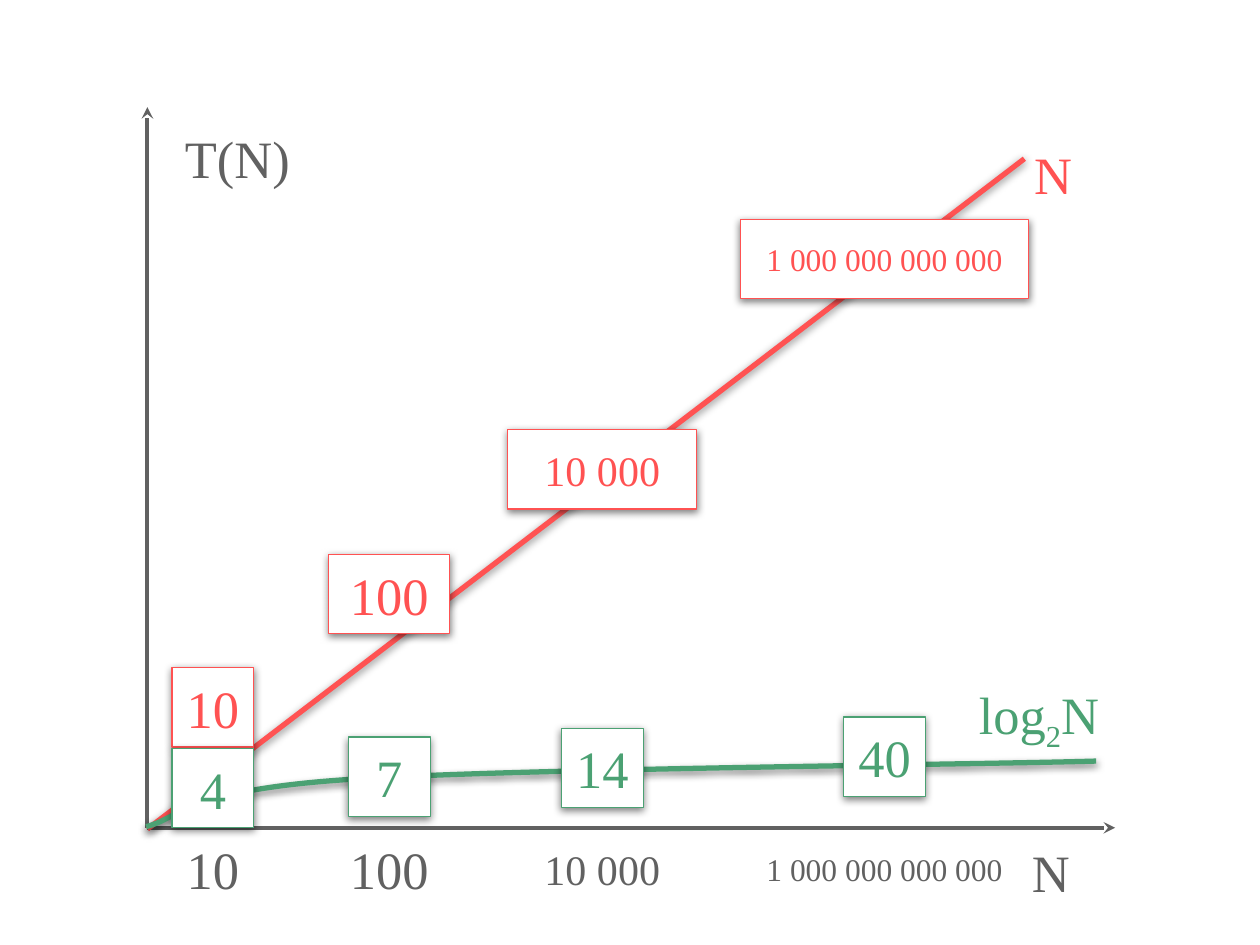
import pptx
import pptx.dml.color
import pptx.enum.shapes
import pptx.enum.text
import pptx.oxml.ns
import pptx.util
from lxml import etree

Inches = pptx.util.Inches
Pt = pptx.util.Pt
qn = pptx.oxml.ns.qn
PP_ALIGN = pptx.enum.text.PP_ALIGN
ANCHOR = pptx.enum.text.MSO_ANCHOR

GREY, RED, GREEN, WHITE = "616161", "FF5252", "4BA173", "FFFFFF"
FONT = "Times New Roman"
BOX_HEIGHT, NARROW = 0.63, 0.65
AXIS_LABEL_TOP = 6.58

axes = [((1.17, 6.57), (1.17, 0.85)), ((1.17, 6.57), (8.85, 6.57))]
linear_line = ((1.17, 6.58), (8.13, 1.26))
log_curve = [(1.16, 6.56),
             (1.42, 6.5), (1.45, 6.28), (2.71, 6.19),
             (3.96, 6.1), (7.7, 6.07), (8.7, 6.04)]
captions = [
    (["N"], 8.09, 6.57, 0.65, GREY),
    (["T(N)"], 1.37, 0.9, 1.5, GREY),
    (["log", "2", "N"], 7.67, 5.31, 1.22, GREEN),
    (["N"], 8.11, 1.03, 0.61, RED),
]
# size, steps, centre, width, font size, top of linear box, top of log box
samples = [
    ("10", "4", 1.69, 0.65, 30, 5.3, 5.94),
    ("100", "7", 3.09, 0.96, 30, 4.4, 5.85),
    ("1 000 000 000 000", "40", 7.02, 2.29, 18, 1.74, 5.69),
    ("10 000", "14", 4.78, 1.5, 24, 3.41, 5.78),
]


def rgb(colour):
    return pptx.dml.color.RGBColor.from_string(colour)


def set_line(shape, colour, width):
    shape.line.color.rgb = rgb(colour)
    shape.line.width = Pt(width)


def set_shadow(shape, visible=True):
    effects = etree.SubElement(shape._element.spPr, qn("a:effectLst"))
    if visible:
        outer = etree.SubElement(effects, qn("a:outerShdw"), blurRad=str(Pt(4.5)),
                                 dist=str(Pt(1.5)), dir="5400000",
                                 algn="bl", rotWithShape="0")
        black = etree.SubElement(outer, qn("a:srgbClr"), val="000000")
        etree.SubElement(black, qn("a:alpha"), val="50000")


def add_line(shapes, start, end, colour, width):
    line = shapes.add_connector(pptx.enum.shapes.MSO_CONNECTOR.STRAIGHT,
                                *map(Inches, start + end))
    set_line(line, colour, width)
    return line


def add_axis(shapes, start, end):
    axis = add_line(shapes, start, end, GREY, 2.25)
    etree.SubElement(axis.line._get_or_add_ln(), qn("a:tailEnd"), type="stealth")
    set_shadow(axis, False)


def add_curve(shapes, points, colour):
    start, *controls = [(Inches(x), Inches(y)) for x, y in points]
    builder = shapes.build_freeform(*start)
    builder.add_line_segments(controls, close=False)
    curve = builder.convert_to_shape()
    segments = list(curve._element.iter(qn("a:lnTo")))
    for first in range(0, len(segments), 3):
        bezier = etree.Element(qn("a:cubicBezTo"))
        segments[first].addprevious(bezier)
        for segment in segments[first:first + 3]:
            bezier.append(segment[0])
            segment.getparent().remove(segment)
    curve.fill.background()
    set_line(curve, colour, 3)
    set_shadow(curve)


def write(shape, parts, colour, size=30, centred=True):
    frame = shape.text_frame
    frame.word_wrap = True
    frame.margin_left = frame.margin_right = Inches(0.1)
    frame.margin_top = frame.margin_bottom = Inches(0.1)
    frame.vertical_anchor = ANCHOR.MIDDLE if centred else ANCHOR.TOP
    paragraph = frame.paragraphs[0]
    paragraph.alignment = PP_ALIGN.CENTER if centred else PP_ALIGN.LEFT
    for index, part in enumerate(parts):
        run = paragraph.add_run()
        run.text = part
        run.font.name = FONT
        run.font.size = Pt(size)
        run.font.color.rgb = rgb(colour)
        if index == 1:
            run._r.get_or_add_rPr().set("baseline", "-25000")


def place(left, top, width):
    return [Inches(length) for length in (left, top, width, BOX_HEIGHT)]


def add_value(shapes, value, centre, top, width, colour, size=30):
    box = shapes.add_shape(pptx.enum.shapes.MSO_SHAPE.RECTANGLE,
                           *place(centre - width / 2, top, width))
    box.fill.solid()
    box.fill.fore_color.rgb = rgb(WHITE)
    set_line(box, colour, 0.75)
    set_shadow(box)
    write(box, [value], colour, size)


def main():
    deck = pptx.Presentation()
    deck.slide_width, deck.slide_height = Inches(10), Inches(7.5)
    shapes = deck.slides.add_slide(deck.slide_layouts[6]).shapes

    for start, end in axes:
        add_axis(shapes, start, end)
    set_shadow(add_line(shapes, *linear_line, RED, 3))
    add_curve(shapes, log_curve, GREEN)

    for parts, left, top, width, colour in captions:
        caption = shapes.add_textbox(*place(left, top, width))
        write(caption, parts, colour, centred=False)

    for count, steps, centre, width, size, linear_top, log_top in samples:
        tick = shapes.add_textbox(*place(centre - width / 2, AXIS_LABEL_TOP, width))
        write(tick, [count], GREY, size)
        add_value(shapes, count, centre, linear_top, width, RED, size)
        add_value(shapes, steps, centre, log_top, NARROW, GREEN)

    deck.save("out.pptx")


if __name__ == "__main__":
    main()
